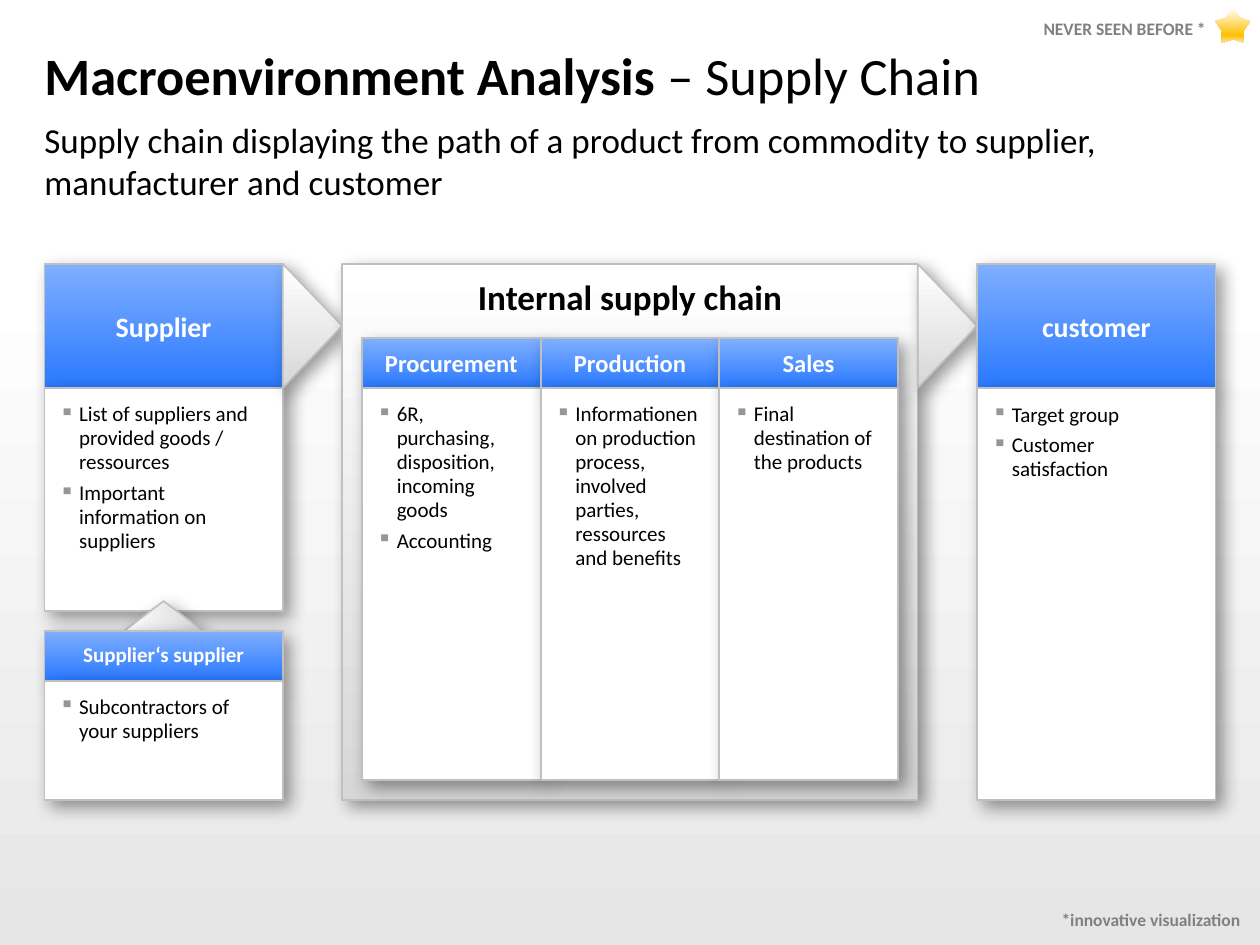
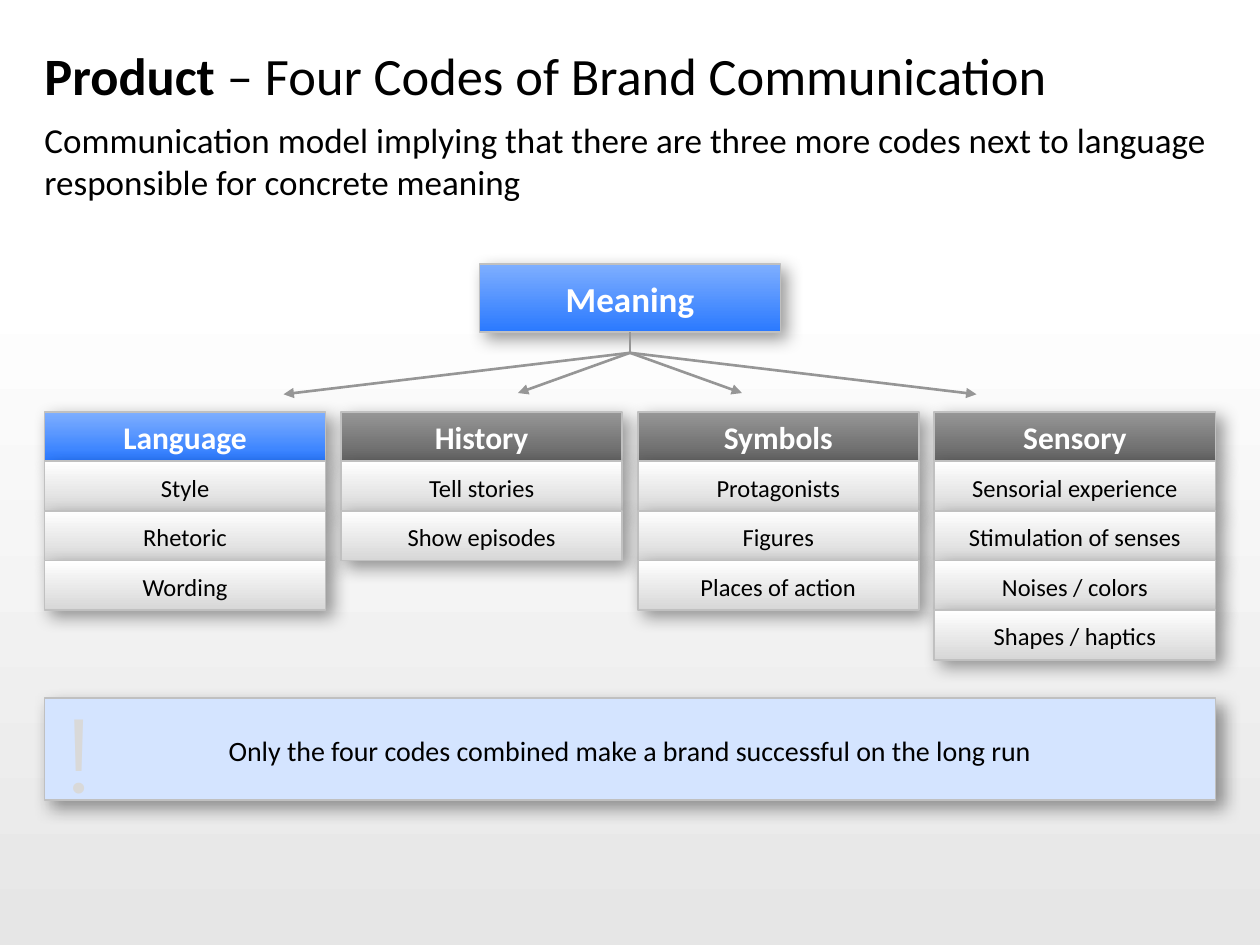
from dataclasses import dataclass, replace
from typing import NamedTuple

from lxml import etree
from pptx import Presentation
from pptx.dml.color import RGBColor
from pptx.enum.shapes import MSO_CONNECTOR, MSO_SHAPE
from pptx.enum.text import MSO_ANCHOR, PP_ALIGN
from pptx.oxml.ns import qn
from pptx.util import Pt

RECT, PLATE, STAR = MSO_SHAPE.RECTANGLE, MSO_SHAPE.PENTAGON, MSO_SHAPE.STAR_5_POINT
STRAIGHT = MSO_CONNECTOR.STRAIGHT
TOP, MIDDLE = MSO_ANCHOR.TOP, MSO_ANCHOR.MIDDLE
TO_LEFT, CENTER, TO_RIGHT = PP_ALIGN.LEFT, PP_ALIGN.CENTER, PP_ALIGN.RIGHT

# Colours; a fill is a tuple of (position in percent, colour), top to bottom
BLACK, WHITE, EDGE, MID_GREY, NOTE_GREY = "000000", "FFFFFF", "C0C0C0", "969696", "808080"
BLUE = ((0, "7FAFFF"), (100, "2A79FF"))
SILVER = ((0, WHITE), (100, "D7D7D7"))
DARK = ((0, MID_GREY), (100, "646464"))
GOLD = ((0, WHITE), (79, "FFC000"), (100, "FBE4AE"))
BACKDROP = ((0, WHITE), (100, "E6E6E6"))
PLAIN = ((0, WHITE),)
PALE_BLUE = ((0, "D4E4FF"),)

# Shared grid
PAGE_W, PAGE_H = 720, 540
LEFT, WIDTH = 25.4, 669.2
TOP_EDGE, BOTTOM_EDGE = 150.8, 457
ROW_H = 28.35


class Frame(NamedTuple):
    left: float
    top: float
    width: float
    height: float


@dataclass(frozen=True)
class TextStyle:
    size: float
    color: str = BLACK
    bold: bool = False
    font: str = "Calibri"
    align: PP_ALIGN = CENTER
    anchor: MSO_ANCHOR = MIDDLE
    insets: tuple[float, float, float, float] = (0, 0, 0, 0)
    line_spacing: float = 1
    space_after: float = 0
    bulleted: bool = False


@dataclass(frozen=True)
class Column:
    heading: str
    entries: tuple[str, ...]


TITLE = TextStyle(30, align=TO_LEFT)
SUBTITLE = TextStyle(20, align=TO_LEFT, anchor=TOP)
HEADER = TextStyle(16, WHITE, True, insets=(8.5, 5.7, 8.5, 5.7))
STEP_HEADER = replace(HEADER, size=14)
SUB_HEADER = replace(HEADER, size=12, line_spacing=0.9)
BULLETS = TextStyle(12, align=TO_LEFT, anchor=TOP, insets=(8.5, 8.5, 11.3, 5.7),
                    line_spacing=0.95, space_after=4, bulleted=True)
PANEL = TextStyle(20, bold=True, anchor=TOP, insets=(8.5, 8.5, 8.5, 5.7),
                  line_spacing=0.95, space_after=8)
CELL = TextStyle(14, insets=(5.7, 8.5, 5.7, 5.7), line_spacing=0.95, space_after=8)
CALLOUT = replace(CELL, size=16)
CODE_HEADER = TextStyle(18, WHITE, True)
ROOT = TextStyle(20, WHITE, True)
NOTE = TextStyle(10, NOTE_GREY, True, align=TO_RIGHT, insets=(0, 2.8, 5.7, 2.8),
                 line_spacing=0.7)
MARK = TextStyle(60, "D9D9D9", font="Montserrat", align=TO_LEFT, anchor=TOP,
                 insets=(7.2, 3.6, 7.2, 3.6))

SUPPLIER = Column("Supplier", ("List of suppliers and provided goods / ressources",
                               "Important information on suppliers"))
SUB_SUPPLIER = Column("Supplier‘s supplier", ("Subcontractors of your suppliers",))
CUSTOMER = Column("customer", ("Target group", "Customer satisfaction"))
STEPS = (
    Column("Procurement", ("6R, purchasing, disposition, incoming goods", "Accounting")),
    Column("Production", ("Informationenon production process, involved parties, "
                          "ressources and benefits",)),
    Column("Sales", ("Final destination of the products",)),
)
CODES = (
    Column("Language", ("Style", "Rhetoric", "Wording")),
    Column("History", ("Tell stories", "Show episodes")),
    Column("Symbols", ("Protagonists", "Figures", "Places of action")),
    Column("Sensory", ("Sensorial experience", "Stimulation of senses",
                       "Noises / colors", "Shapes / haptics")),
)


def rgb(color: str) -> RGBColor:
    return RGBColor.from_string(color)


def add_node(parent, tag: str, **attributes):
    return etree.SubElement(parent, qn(tag), {key: str(val) for key, val in attributes.items()})


def place(frame: Frame) -> list:
    return [Pt(length) for length in frame]


def paint(shape, stops: tuple) -> None:
    """Fill with one colour, or with a gradient from top to bottom."""
    if len(stops) == 1:
        shape.fill.solid()
        shape.fill.fore_color.rgb = rgb(stops[0][1])
        return
    shape.fill.gradient()
    shape.fill.gradient_angle = 270
    stop_list = shape._element.spPr.find(qn("a:gradFill")).find(qn("a:gsLst"))
    for old_stop in list(stop_list):
        stop_list.remove(old_stop)
    for position, color in stops:
        stop = add_node(stop_list, "a:gs", pos=position * 1000)
        add_node(stop, "a:srgbClr", val=color)


def drop_shadow(shape) -> None:
    effects = shape._element.spPr.find(qn("a:effectLst"))
    shadow = add_node(effects, "a:outerShdw", blurRad=Pt(10), dist=Pt(5), dir=45 * 60000,
                      algn="tl", rotWithShape=0)
    add_node(add_node(shadow, "a:srgbClr", val=BLACK), "a:alpha", val=40000)


def add_bullet(para) -> None:
    settings = para._p.get_or_add_pPr()
    settings.set("marL", str(Pt(11.3)))
    settings.set("indent", str(-Pt(11.3)))
    add_node(add_node(settings, "a:buClr"), "a:srgbClr", val=MID_GREY)
    add_node(settings, "a:buChar", char="▪")


def format_span(span, style: TextStyle) -> None:
    span.font.name = style.font
    span.font.size = Pt(style.size)
    span.font.bold = style.bold
    span.font.color.rgb = rgb(style.color)


def write(shape, lines: tuple[str, ...], style: TextStyle) -> None:
    text_frame = shape.text_frame
    text_frame.word_wrap = True
    text_frame.vertical_anchor = style.anchor
    (text_frame.margin_left, text_frame.margin_top,
     text_frame.margin_right, text_frame.margin_bottom) = map(Pt, style.insets)
    text_frame.text = "\n".join(lines)
    for para in text_frame.paragraphs:
        para.alignment = style.align
        para.line_spacing = style.line_spacing
        para.space_after = Pt(style.space_after)
        if style.bulleted:
            add_bullet(para)
        for span in para.runs:
            format_span(span, style)


def add_text(page, frame: Frame, text: str, style: TextStyle):
    box = page.shapes.add_textbox(*place(frame))
    write(box, (text,), style)
    return box


def add_plain(page, kind, frame: Frame, stops: tuple):
    shape = page.shapes.add_shape(kind, *place(frame))
    shape.shadow.inherit = False
    paint(shape, stops)
    shape.line.fill.background()
    return shape


def add_box(page, frame: Frame, stops: tuple, lines: tuple[str, ...] = (),
            style: TextStyle = CELL, kind=RECT):
    """Shape with a grey edge and a soft shadow."""
    box = add_plain(page, kind, frame, stops)
    drop_shadow(box)
    box.line.color.rgb = rgb(EDGE)
    box.line.width = Pt(1)
    if lines:
        write(box, lines, style)
    return box


def add_pointer(page, frame: Frame, rotation: float = 0) -> None:
    pointer = add_box(page, frame, SILVER, kind=PLATE)
    pointer.adjustments[0] = 1
    pointer.rotation = rotation


def add_card(page, frame: Frame, header_height: float, column: Column,
             header_style: TextStyle) -> None:
    """Blue header over a white list."""
    add_box(page, frame._replace(height=header_height), BLUE, (column.heading,), header_style)
    body = Frame(frame.left, frame.top + header_height, frame.width,
                 frame.height - header_height)
    add_box(page, body, PLAIN, column.entries, BULLETS)


def add_line(page, start: tuple[float, float], end: tuple[float, float], arrow: bool = True):
    line = page.shapes.add_connector(STRAIGHT, *map(Pt, start + end))
    line.line.color.rgb = rgb(MID_GREY)
    line.line.width = Pt(1.5)
    properties = line._element.spPr
    if arrow:
        add_node(properties.find(qn("a:ln")), "a:tailEnd", type="triangle")
    add_node(properties, "a:effectLst")
    return line


def add_page(deck, topic: str, title: str, subtitle: str):
    page = deck.slides.add_slide(deck.slide_layouts[6])
    add_plain(page, RECT, Frame(0, 159, PAGE_W, PAGE_H - 159), BACKDROP)
    heading = add_text(page, Frame(LEFT, 18.7, WIDTH, 48.2), topic + " ",
                       replace(TITLE, bold=True))
    rest = heading.text_frame.paragraphs[0].add_run()
    rest.text = title
    format_span(rest, TITLE)
    add_text(page, Frame(LEFT, 67.7, WIDTH, 50), subtitle, SUBTITLE)
    return page


def build_supply_chain(deck) -> None:
    page = add_page(deck, "Macroenvironment Analysis", "– Supply Chain",
                    "Supply chain displaying the path of a product from commodity to "
                    "supplier, manufacturer and customer")
    side_w, header_h, pointer_w = 136.2, 70.9, 34
    panel_left = LEFT + side_w + pointer_w
    panel_w = WIDTH - 2 * (side_w + pointer_w)
    full_h = BOTTOM_EDGE - TOP_EDGE

    # Suppliers
    add_card(page, Frame(LEFT, TOP_EDGE, side_w, 198.4), header_h, SUPPLIER, HEADER)
    add_pointer(page, Frame(LEFT + side_w, TOP_EDGE, pointer_w, header_h))
    add_pointer(page, Frame(LEFT + (side_w - 17) / 2, 329.3, 17, 45.4), 270)
    add_card(page, Frame(LEFT, 360.6, side_w, BOTTOM_EDGE - 360.6), ROW_H, SUB_SUPPLIER,
             SUB_HEADER)

    # Internal chain
    add_box(page, Frame(panel_left, TOP_EDGE, panel_w, full_h), SILVER,
            ("Internal supply chain",), PANEL)
    add_pointer(page, Frame(panel_left + panel_w, TOP_EDGE, pointer_w, header_h))
    padding = 11.3
    step_w = (panel_w - 2 * padding) / len(STEPS)
    step_top = TOP_EDGE + header_h - ROW_H
    for index, step in enumerate(STEPS):
        frame = Frame(panel_left + padding + index * step_w, step_top, step_w,
                      BOTTOM_EDGE - padding - step_top)
        add_card(page, frame, ROW_H, step, STEP_HEADER)

    # Customer
    add_card(page, Frame(LEFT + WIDTH - side_w, TOP_EDGE, side_w, full_h), header_h,
             CUSTOMER, HEADER)

    # Star and notes
    star = add_plain(page, STAR, Frame(694.5, 4.5, 20, 20), GOLD)
    star.adjustments[0] = 0.31
    add_text(page, Frame(555.6, 7.6, 139, 20), "NEVER SEEN BEFORE *", NOTE)
    add_text(page, Frame(575.3, 516.7, 139, 20), "*innovative visualization", NOTE)


def build_four_codes(deck) -> None:
    page = add_page(deck, "Product", "– Four Codes of Brand Communication",
                    "Communication model implying that there are three more codes next to "
                    "language responsible for concrete meaning")
    # Callout
    add_box(page, Frame(LEFT, 399, WIDTH, BOTTOM_EDGE - 399), PALE_BLUE,
            ("Only the four codes combined make a brand successful on the long run",), CALLOUT)
    mark = add_text(page, Frame(30.2, 390.2, 34.6, 80), "!", MARK)
    mark_properties = mark.text_frame.paragraphs[0].runs[0]._r.get_or_add_rPr()
    outline = etree.Element(qn("a:ln"), {"w": str(Pt(1.45))})
    add_node(add_node(outline, "a:solidFill"), "a:srgbClr", val=WHITE)
    mark_properties.insert(0, outline)

    # Code columns
    code_w, gap = 160.7, 8.8
    for index, code in enumerate(CODES):
        frame = Frame(LEFT + index * (code_w + gap), 235.3, code_w, ROW_H)
        add_box(page, frame, DARK if index else BLUE, (code.heading,), CODE_HEADER)
        for row, entry in enumerate(code.entries, 1):
            add_box(page, frame._replace(top=frame.top + row * ROW_H), SILVER, (entry,), CELL)

    # Root and branches
    middle, fork = PAGE_W / 2, 201.6
    root = add_box(page, Frame(middle - 86, TOP_EDGE, 172, 39), BLUE, ("Meaning",), ROOT)
    stem = add_line(page, (middle, TOP_EDGE + 39), (middle, fork), arrow=False)
    stem.begin_connect(root, 2)
    for reach, tip in ((198, 225.3), (64, 224.6)):
        for side in (-1, 1):
            add_line(page, (middle, fork), (middle + side * reach, tip))


def main() -> None:
    deck = Presentation()
    deck.slide_width, deck.slide_height = Pt(PAGE_W), Pt(PAGE_H)
    build_supply_chain(deck)
    build_four_codes(deck)
    deck.save("out.pptx")


if __name__ == "__main__":
    main()
